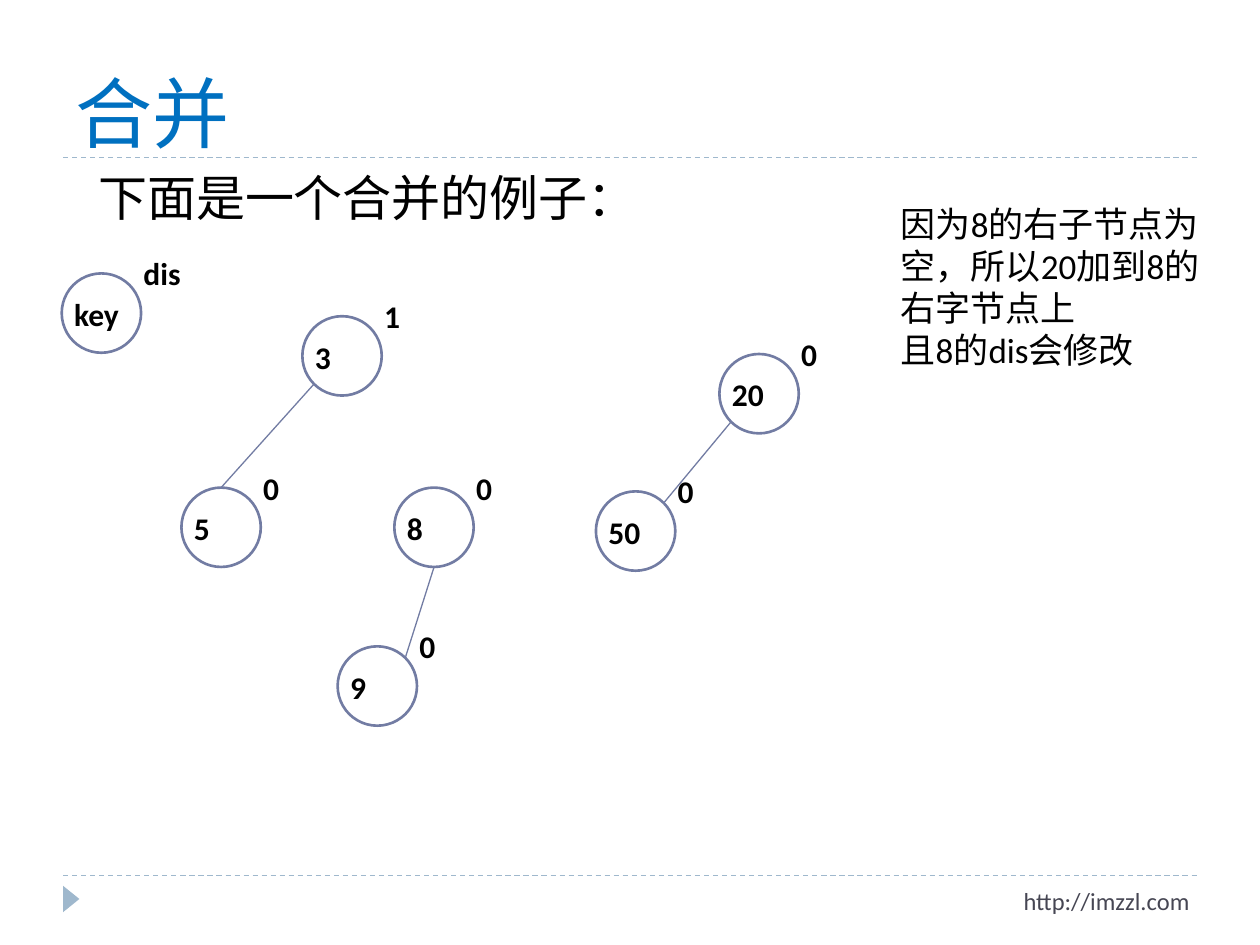
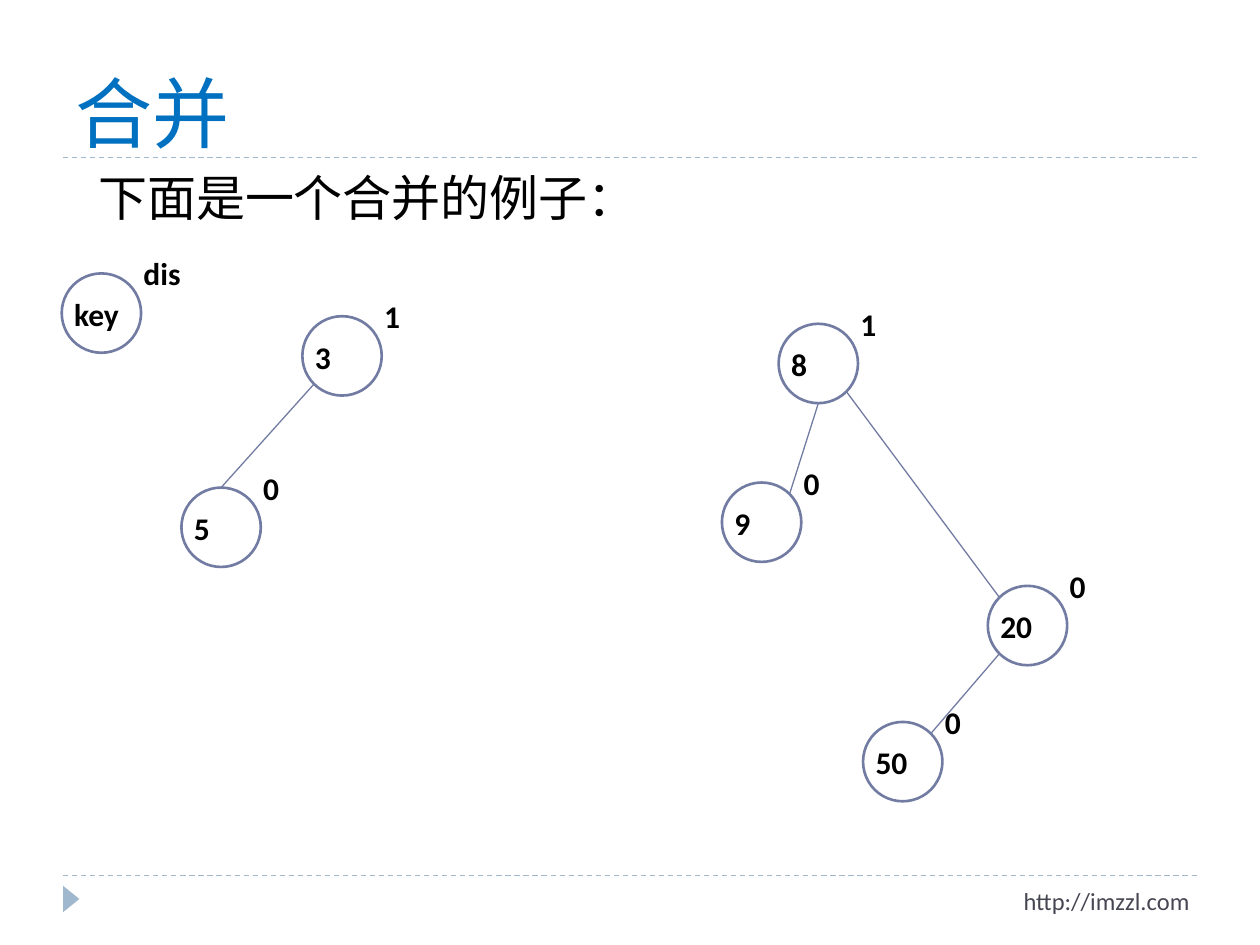
from dataclasses import dataclass
from typing import Any

import pptx
import pptx.dml.color
import pptx.enum.dml
import pptx.enum.shapes
import pptx.enum.text
import pptx.oxml.ns
import pptx.util
from lxml import etree

# Scale: 100 px to the inch
PX = 9144
CIRCLE = 63

RGBColor = pptx.dml.color.RGBColor
WHITE = RGBColor(0xFF, 0xFF, 0xFF)
BLACK = RGBColor(0x00, 0x00, 0x00)
TITLE_BLUE = RGBColor(0x00, 0x70, 0xC0)
BAND_BLUE = RGBColor(0x9F, 0xB8, 0xCD)
NODE_BLUE = RGBColor(0x72, 0x7C, 0xA3)
FOOTER_GREY = RGBColor(0x46, 0x46, 0x53)

LATIN_FONT = "Calibri"
CHINESE_FONT = "Noto Sans CJK SC"

Anchor = pptx.enum.text.MSO_ANCHOR
Align = pptx.enum.text.PP_ALIGN
Preset = pptx.enum.shapes.MSO_SHAPE

# Points on a circle, as fractions of its width and height
TOP = (0.5, 0)
BOTTOM = (0.5, 1)
UPPER_RIGHT = (0.85, 0.15)
LOWER_LEFT = (0.15, 0.85)
LOWER_RIGHT = (0.85, 0.85)


@dataclass(frozen=True)
class TextStyle:
    size: int
    color: RGBColor = BLACK
    font: str = LATIN_FONT
    bold: bool = False
    align: Any = Align.LEFT
    anchor: Any = Anchor.TOP
    margin_left: int = 10
    margin_vertical: int = 5


@dataclass(frozen=True)
class Node:
    key: str
    dis: str
    left: int
    top: int


@dataclass(frozen=True)
class Edge:
    parent: str
    parent_point: tuple[float, float]
    child: str
    child_point: tuple[float, float]


@dataclass(frozen=True)
class MergeStep:
    nodes: list[Node]
    edges: list[Edge]
    note: tuple[str, ...] = ()


TITLE = TextStyle(44, TITLE_BLUE, CHINESE_FONT, anchor=Anchor.BOTTOM, margin_vertical=0)
BODY = TextStyle(28, margin_left=28, margin_vertical=0)
FOOTER = TextStyle(14, FOOTER_GREY, align=Align.RIGHT)
NODE_TEXT = TextStyle(18, bold=True)
NOTE = TextStyle(20)

# What both steps show: the legend and the left tree
SHARED_NODES = [
    Node("3", "1", 240, 251),
    Node("5", "0", 144, 387),
    Node("key", "dis", 49, 217),
]
SHARED_EDGES = [
    Edge("3", LOWER_LEFT, "5", TOP),
    Edge("8", BOTTOM, "9", UPPER_RIGHT),
    Edge("20", LOWER_LEFT, "50", UPPER_RIGHT),
]

STEPS = [
    MergeStep(
        [
            Node("8", "0", 313, 387),
            Node("9", "0", 268, 513),
            Node("20", "0", 571, 281),
            Node("50", "0", 473, 390),
        ],
        [],
        ("因为8的右子节点为空，所以20加到8的右字节点上", "且8的dis会修改"),
    ),
    MergeStep(
        [
            Node("8", "1", 618, 257),
            Node("9", "0", 573, 383),
            Node("20", "0", 784, 465),
            Node("50", "0", 685, 573),
        ],
        [Edge("8", LOWER_RIGHT, "20", UPPER_LEFT := (0.15, 0.15))],
    ),
]


def set_values(target: Any, values: dict[str, Any]) -> None:
    for name, value in values.items():
        setattr(target, name, value)


def px(*lengths: float) -> list[int]:
    return [round(length * PX) for length in lengths]


def add_text(slide: Any, box: tuple[int, int, int, int], lines: tuple[str, ...],
             style: TextStyle) -> None:
    frame = slide.shapes.add_textbox(*px(*box)).text_frame
    set_values(frame, {
        "word_wrap": True,
        "vertical_anchor": style.anchor,
        "margin_left": style.margin_left * PX,
        "margin_right": 10 * PX,
        "margin_top": style.margin_vertical * PX,
        "margin_bottom": style.margin_vertical * PX,
    })
    for index, line in enumerate(lines):
        paragraph = frame.add_paragraph() if index else frame.paragraphs[0]
        paragraph.alignment = style.align
        run = paragraph.add_run()
        run.text = line
        set_values(run.font, {
            "name": style.font,
            "size": pptx.util.Pt(style.size),
            "bold": style.bold,
        })
        run.font.color.rgb = style.color
        east_asian = etree.SubElement(run.font._element, pptx.oxml.ns.qn("a:ea"))
        east_asian.set("typeface", CHINESE_FONT)


def add_line(slide: Any, start: tuple[float, float], end: tuple[float, float],
             color: RGBColor) -> Any:
    connector = slide.shapes.add_connector(
        pptx.enum.shapes.MSO_CONNECTOR.STRAIGHT, *px(*start, *end))
    connector.line.color.rgb = color
    connector.line.width = pptx.util.Pt(0.75)
    etree.SubElement(connector._element.spPr, pptx.oxml.ns.qn("a:effectLst"))
    return connector


def add_filled_shape(slide: Any, preset: Any, box: tuple[int, int, int, int],
                     fill: RGBColor) -> Any:
    shape = slide.shapes.add_shape(preset, *px(*box))
    shape.shadow.inherit = False
    shape.fill.solid()
    shape.fill.fore_color.rgb = fill
    return shape


def add_page(presentation: Any) -> Any:
    """Add a slide with the bands, title, footer and lead sentence."""
    slide = presentation.slides.add_slide(presentation.slide_layouts[6])
    for height in (695, 125):
        band = add_line(slide, (50, height), (950, height), BAND_BLUE)
        band.line.dash_style = pptx.enum.dml.MSO_LINE.DASH
    marker = add_filled_shape(
        slide, Preset.ISOSCELES_TRIANGLE, (46, 707, 21, 13), BAND_BLUE)
    marker.line.fill.background()
    marker.rotation = 90
    add_text(slide, (50, 17, 900, 108), ("合并",), TITLE)
    add_text(slide, (571, 698, 383, 40), ("http://imzzl.com",), FOOTER)
    add_text(slide, (50, 133, 900, 540), ("下面是一个合并的例子：",), BODY)
    return slide


def add_node(slide: Any, node: Node) -> Any:
    circle = add_filled_shape(
        slide, Preset.OVAL, (node.left, node.top, CIRCLE, CIRCLE), WHITE)
    circle.line.color.rgb = NODE_BLUE
    circle.line.width = pptx.util.Pt(1.5)
    add_text(slide, (node.left, node.top + 12, 79, 40), (node.key,), NODE_TEXT)
    add_text(slide, (node.left + 55, node.top - 20, 79, 40), (node.dis,), NODE_TEXT)
    return circle


def point_on(node: Node, point: tuple[float, float]) -> tuple[float, float]:
    return node.left + CIRCLE * point[0], node.top + CIRCLE * point[1]


def add_step(presentation: Any, step: MergeStep) -> None:
    slide = add_page(presentation)
    nodes = {node.key: node for node in SHARED_NODES + step.nodes}
    circles = {key: add_node(slide, node) for key, node in nodes.items()}
    for edge in SHARED_EDGES + step.edges:
        connector = add_line(
            slide,
            point_on(nodes[edge.parent], edge.parent_point),
            point_on(nodes[edge.child], edge.child_point),
            NODE_BLUE,
        )
        if edge.child_point == TOP:
            connector.end_connect(circles[edge.child], 0)
    if step.note:
        add_text(slide, (705, 156, 260, 144), step.note, NOTE)


def main() -> None:
    presentation = pptx.Presentation()
    set_values(presentation, {"slide_width": 1000 * PX, "slide_height": 750 * PX})
    for step in STEPS:
        add_step(presentation, step)
    presentation.save("out.pptx")


if __name__ == "__main__":
    main()
